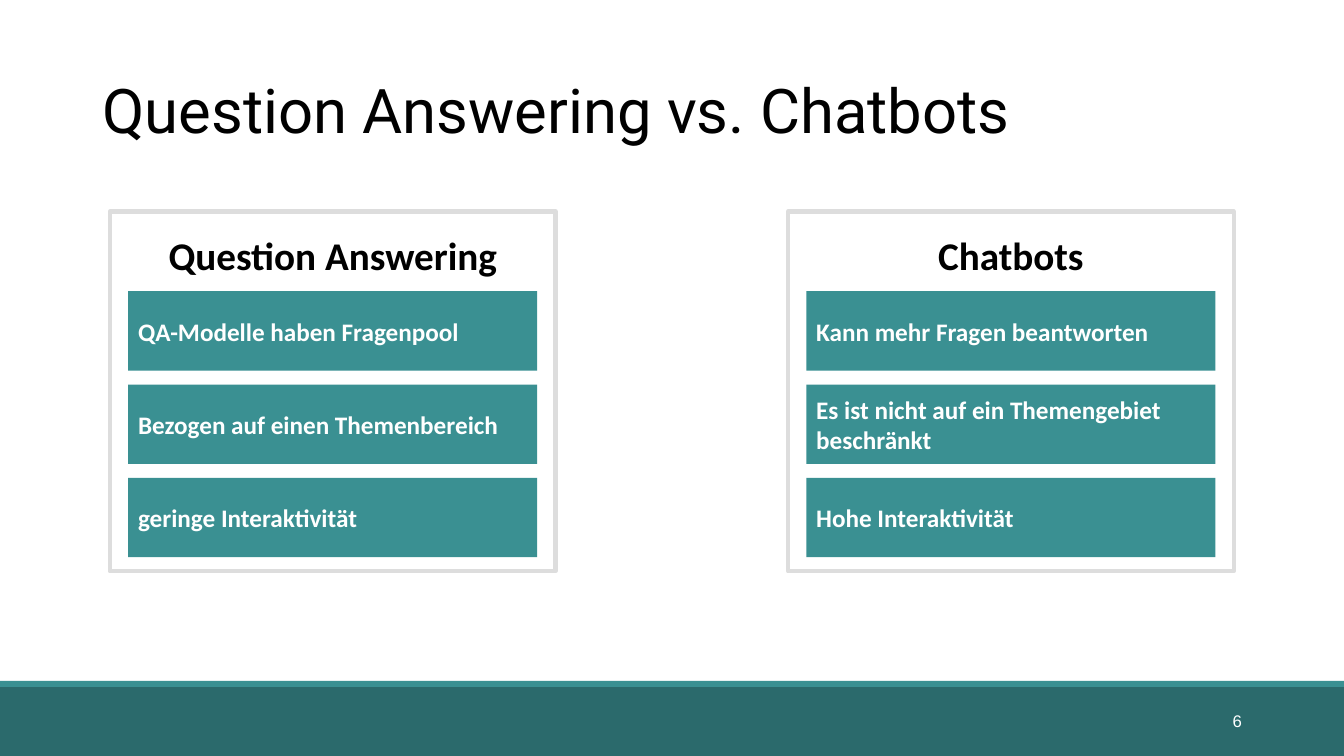
from pptx import Presentation
from pptx.dml.color import RGBColor
from pptx.enum.shapes import MSO_SHAPE
from pptx.enum.text import MSO_ANCHOR, MSO_AUTO_SIZE, PP_ALIGN
from pptx.util import Cm, Pt

COLORS = {
    "text": "000000",
    "light": "FFFFFF",
    "teal": "3A9092",
    "dark_teal": "2B6A6C",
    "border": "DDDDDD",
}
PAGE_WIDTH, PAGE_HEIGHT = 33.87, 19.05

# Card heading, its bars, and the left edge of the card
CARDS = [
    ("Question Answering", 2.77,
     ["QA-Modelle haben Fragenpool", "Bezogen auf einen Themenbereich",
      "geringe Interaktivität"]),
    ("Chatbots", 19.86,
     ["Kann mehr Fragen beantworten",
      "Es ist nicht auf ein Themengebiet beschränkt", "Hohe Interaktivität"]),
]


def color(name):
    return RGBColor.from_string(COLORS[name])


def write(shape, text, font, size, ink, align=PP_ALIGN.LEFT, bold=False,
          anchor=MSO_ANCHOR.MIDDLE):
    """Put one formatted paragraph into a shape."""
    frame = shape.text_frame
    frame.word_wrap = True
    frame.auto_size = MSO_AUTO_SIZE.NONE
    frame.vertical_anchor = anchor
    para = frame.paragraphs[0]
    para.text = text
    para.alignment = align
    para.font.name = font
    para.font.size = Pt(size)
    para.font.bold = bold
    para.font.color.rgb = color(ink)
    return para


def add_rectangle(page, left, top, width, height, fill=None, border=None):
    box = page.shapes.add_shape(MSO_SHAPE.RECTANGLE, Cm(left), Cm(top),
                                Cm(width), Cm(height))
    box.shadow.inherit = False
    if fill:
        box.fill.solid()
        box.fill.fore_color.rgb = color(fill)
    else:
        box.fill.background()
    if border:
        box.line.color.rgb = color(border)
        box.line.width = Pt(3)
    else:
        box.line.fill.background()
    return box


def add_text(page, left, top, width, height, text, *style, **options):
    box = page.shapes.add_textbox(Cm(left), Cm(top), Cm(width), Cm(height))
    write(box, text, *style, **options)


def add_title(page, left, top, width, height, text):
    title = page.shapes.title
    title.left, title.top = Cm(left), Cm(top)
    title.width, title.height = Cm(width), Cm(height)
    para = write(title, text, "Roboto", 44, "text")
    para.line_spacing = 0.9


def add_footer(page, left, top, width, height, number):
    add_rectangle(page, left, top + 0.13, width, height - 0.13, "dark_teal")
    add_rectangle(page, left, top, width, 0.15, "teal")
    add_text(page, left + width - 9.94, top + 0.49, 7.62, 1.01, number,
             "Arial", 12, "light", align=PP_ALIGN.RIGHT)


def add_card(page, left, top, width, height, heading, points):
    inset, first_bar, bar_height, pitch = 0.46, 2.01, 2.0, 2.35
    # Bars
    for index, point in enumerate(points):
        bar = add_rectangle(page, left + inset, top + first_bar + index * pitch,
                            width - 2 * inset, bar_height, "teal")
        write(bar, point, "Calibri", 18, "light", bold=True)
    # Frame and heading
    add_rectangle(page, left, top, width, height, border="border")
    add_text(page, left, top + 0.38, width, 1.45, heading, "Calibri", 28,
             "text", align=PP_ALIGN.CENTER, bold=True, anchor=MSO_ANCHOR.TOP)


def main():
    deck = Presentation()
    deck.slide_width, deck.slide_height = Cm(PAGE_WIDTH), Cm(PAGE_HEIGHT)
    page = deck.slides.add_slide(deck.slide_layouts[5])  # Title only

    add_footer(page, 0, 17.16, PAGE_WIDTH, PAGE_HEIGHT - 17.16, "6")
    add_title(page, 2.33, 1.01, 29.21, 3.68, "Question Answering vs. Chatbots")
    for heading, left, points in CARDS:
        add_card(page, left, 5.33, 11.23, 9.07, heading, points)

    deck.save("out.pptx")


if __name__ == "__main__":
    main()
